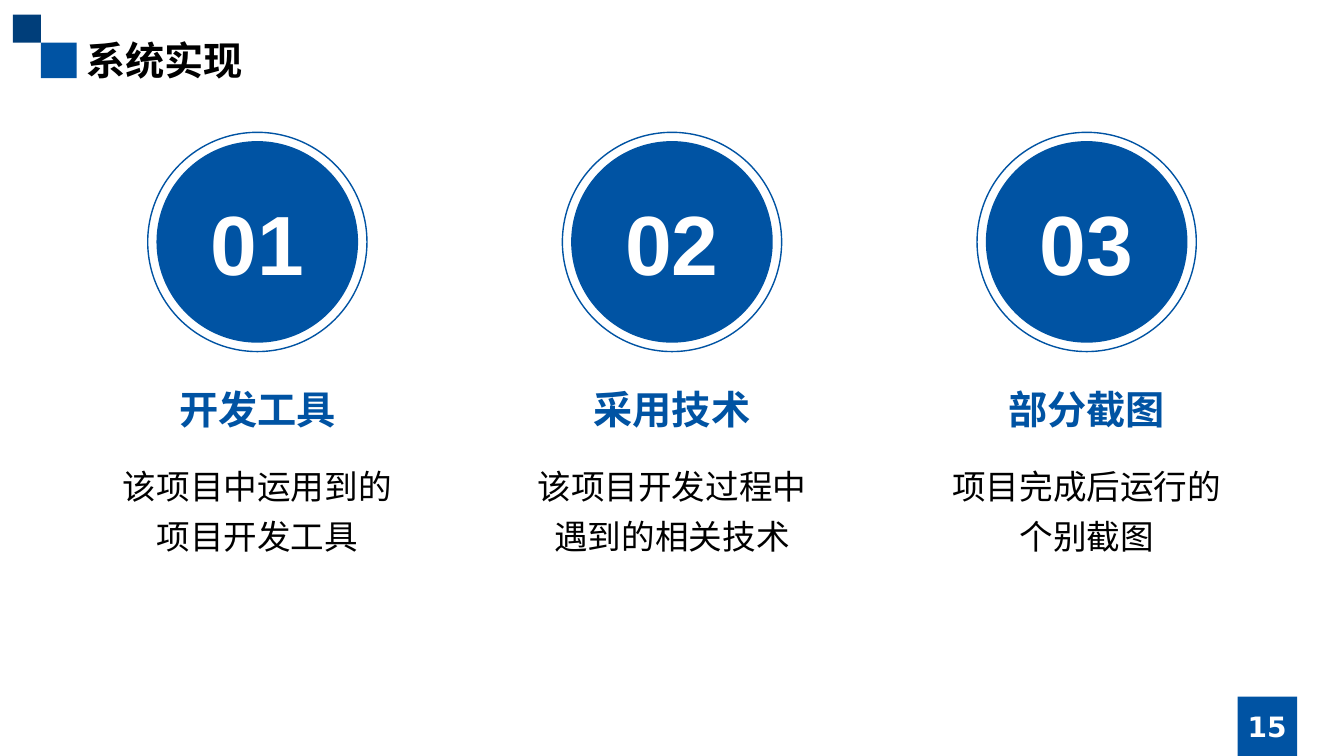
"""Build the system implementation overview slide."""
from lxml.etree import SubElement
from pptx import Presentation
from pptx.dml.color import RGBColor
from pptx.enum.shapes import MSO_SHAPE as Shape
from pptx.enum.text import MSO_ANCHOR as Anchor, MSO_AUTO_SIZE as AutoSize, PP_ALIGN as Align
from pptx.oxml.ns import qn
from pptx.util import Pt

BLUE = RGBColor(0x00, 0x53, 0xA3)
NAVY = RGBColor(0x00, 0x3E, 0x7A)
WHITE = RGBColor(0xFF, 0xFF, 0xFF)
BLACK = RGBColor(0x00, 0x00, 0x00)
CHINESE_FONT = "Noto Sans CJK SC"

TITLE = {"size": Pt(28), "name": CHINESE_FONT, "bold": True}
PAGE = {"size": Pt(20), "name": "DejaVu Sans", "bold": True}
NUMBER = {"size": Pt(60), "name": "Arial", "bold": True}
HEADING = {"size": Pt(28), "name": "Arial", "bold": True}
BODY = {"size": Pt(24), "name": "Arial", "bold": False}

SECTIONS = [
    ("开发工具", "该项目中运用到的项目开发工具"),
    ("采用技术", "该项目开发过程中遇到的相关技术"),
    ("部分截图", "项目完成后运行的个别截图"),
]
MIDDLE = 480
PITCH = 296.2
CIRCLE_CENTER = 172.8
DISC = 144
RING = 156.6
TEXT_WIDTH = 212.4


class SlideBuilder:
    def __init__(self, presentation):
        self.slide = presentation.slides.add_slide(presentation.slide_layouts[6])

    def label(self, shape, text, style, color, align=Align.CENTER, spacing=None):
        paragraph = shape.text_frame.paragraphs[0]
        for name, value in {"alignment": align, "line_spacing": spacing}.items():
            setattr(paragraph, name, value)
        run = paragraph.add_run()
        run.text = text
        for name, value in style.items():
            setattr(run.font, name, value)
        run.font.color.rgb = color
        SubElement(run.font._element, qn("a:ea"), typeface=CHINESE_FONT)

    def shape(self, kind, box, fill=None, line=None, parent=None):
        shape = (parent or self.slide).shapes.add_shape(kind, *map(Pt, box))
        shape.shadow.inherit = False
        if fill is None:
            shape.fill.background()
        else:
            shape.fill.solid()
            shape.fill.fore_color.rgb = fill
        if line is None:
            shape.line.fill.background()
        else:
            shape.line.color.rgb = line
            shape.line.width = Pt(1)
        return shape

    def text(self, box, text, style, color, anchor=Anchor.TOP, grow=True, **paragraph_format):
        shape = self.slide.shapes.add_textbox(*map(Pt, box))
        auto_size = AutoSize.SHAPE_TO_FIT_TEXT if grow else AutoSize.NONE
        frame_format = {"word_wrap": True, "vertical_anchor": anchor, "auto_size": auto_size}
        for name, value in frame_format.items():
            setattr(shape.text_frame, name, value)
        self.label(shape, text, style, color, **paragraph_format)

    def badge(self, center, number):
        group = self.slide.shapes.add_group_shape()
        disc, ring = (
            (center - size / 2, CIRCLE_CENTER - size / 2, size, size) for size in (DISC, RING)
        )
        circle = self.shape(Shape.OVAL, disc, fill=BLUE, parent=group)
        circle.text_frame.vertical_anchor = Anchor.MIDDLE
        self.label(circle, number, NUMBER, WHITE)
        self.shape(Shape.OVAL, ring, line=BLUE, parent=group)

    def section(self, center, number, heading, body):
        left = center - TEXT_WIDTH / 2
        self.badge(center, number)
        self.text((left, 271.4, TEXT_WIDTH, 43.2), heading, HEADING, BLUE)
        self.text((left, 321.8, TEXT_WIDTH, 79.2), body, BODY, BLACK, spacing=1.25)


def main():
    presentation = Presentation()
    presentation.slide_width = Pt(960)
    presentation.slide_height = Pt(540)
    builder = SlideBuilder(presentation)

    builder.shape(Shape.RECTANGLE, (29.3, 30.4, 25.4, 25.4), fill=BLUE)
    builder.shape(Shape.RECTANGLE, (9.3, 10.5, 20, 20), fill=NAVY)
    builder.shape(Shape.RECTANGLE, (884, 497.5, 42.5, 42.5), fill=BLUE)
    builder.text((54.7, 22.3, 850.3, 43.2), "系统实现", TITLE, BLACK, align=Align.LEFT)
    builder.text((850.3, 504.7, 109.7, 28.8), "15", PAGE, WHITE, Anchor.MIDDLE, grow=False)

    for index, (heading, body) in enumerate(SECTIONS):
        builder.section(MIDDLE + (index - 1) * PITCH, f"{index + 1:02}", heading, body)

    presentation.save("out.pptx")


if __name__ == "__main__":
    main()
